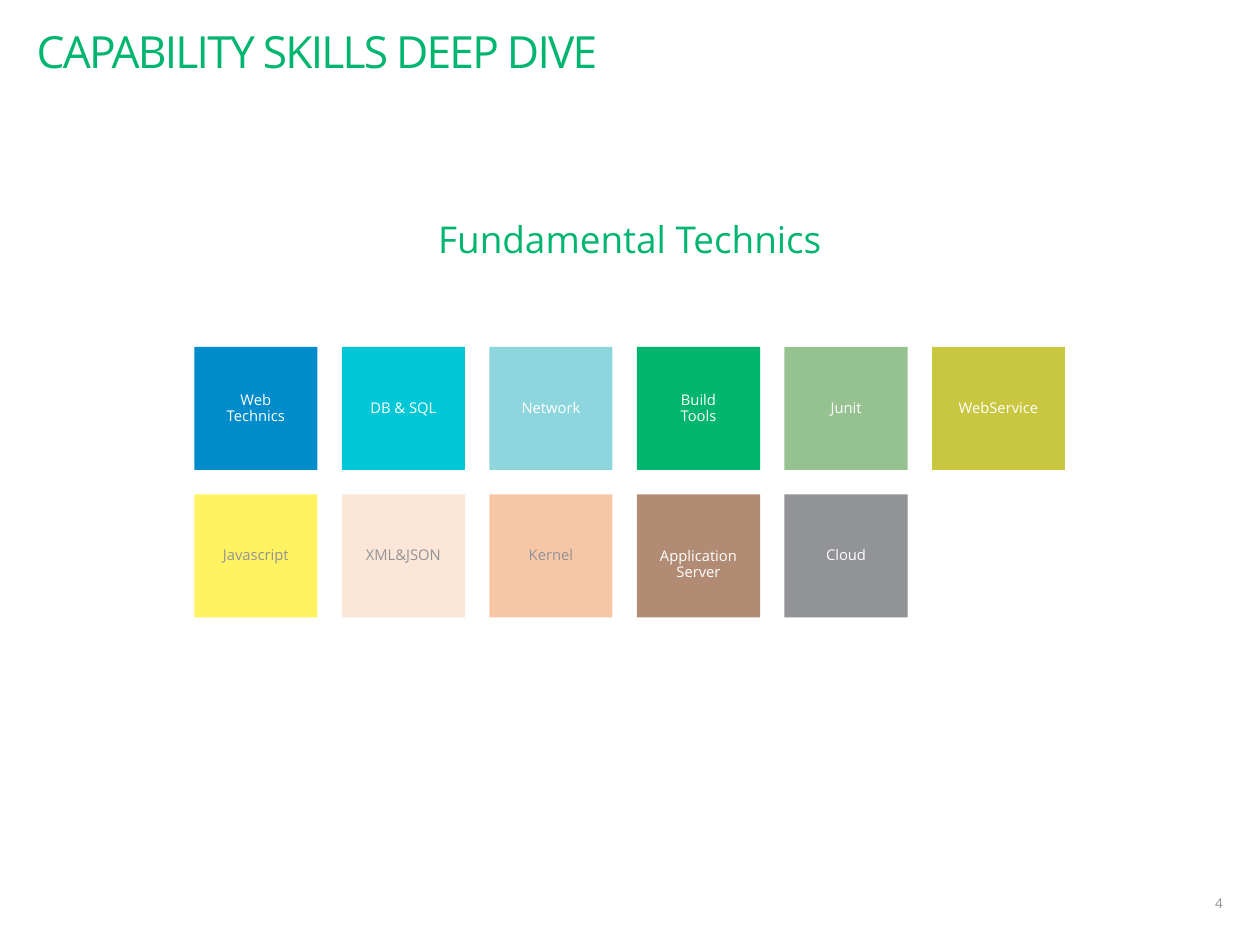
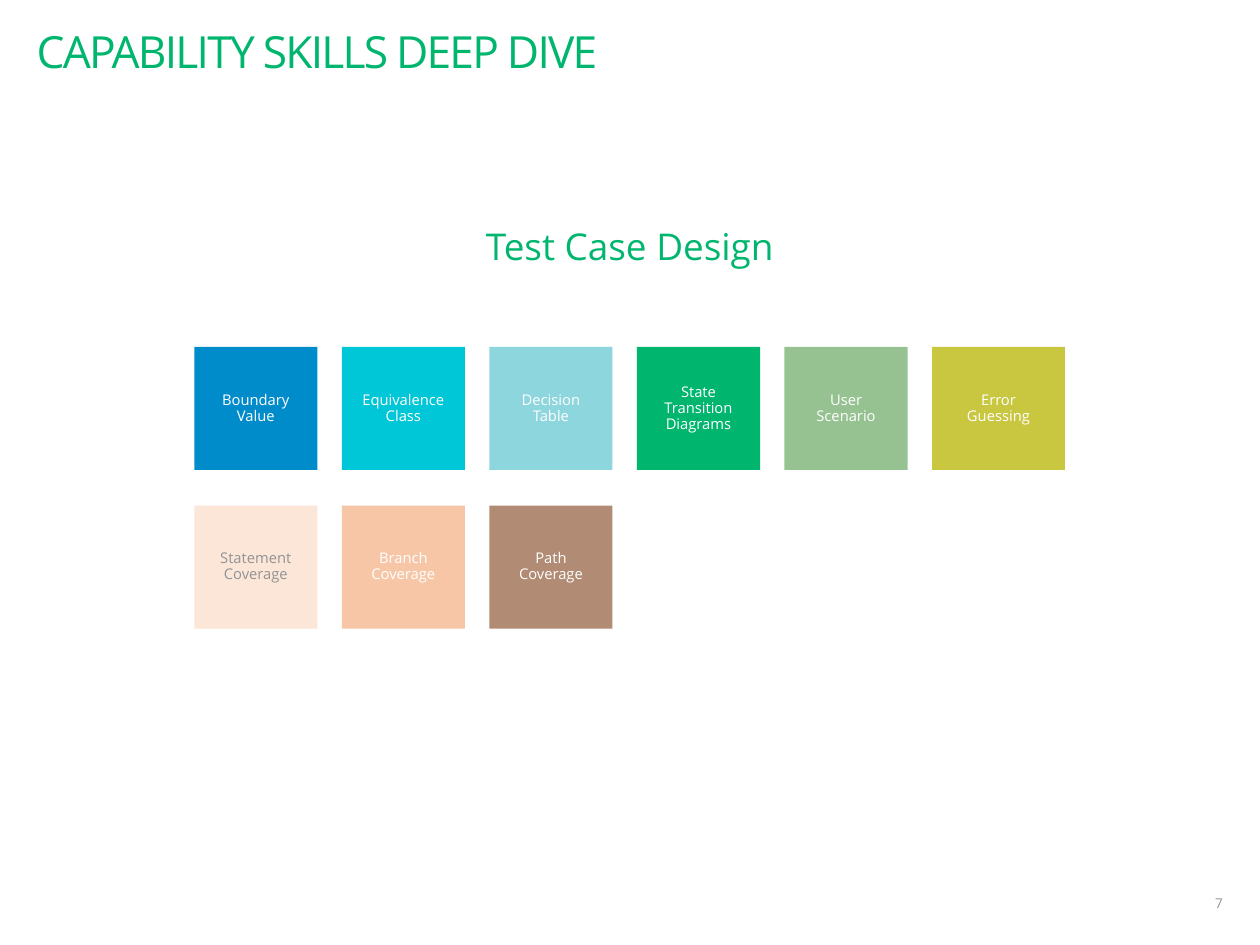
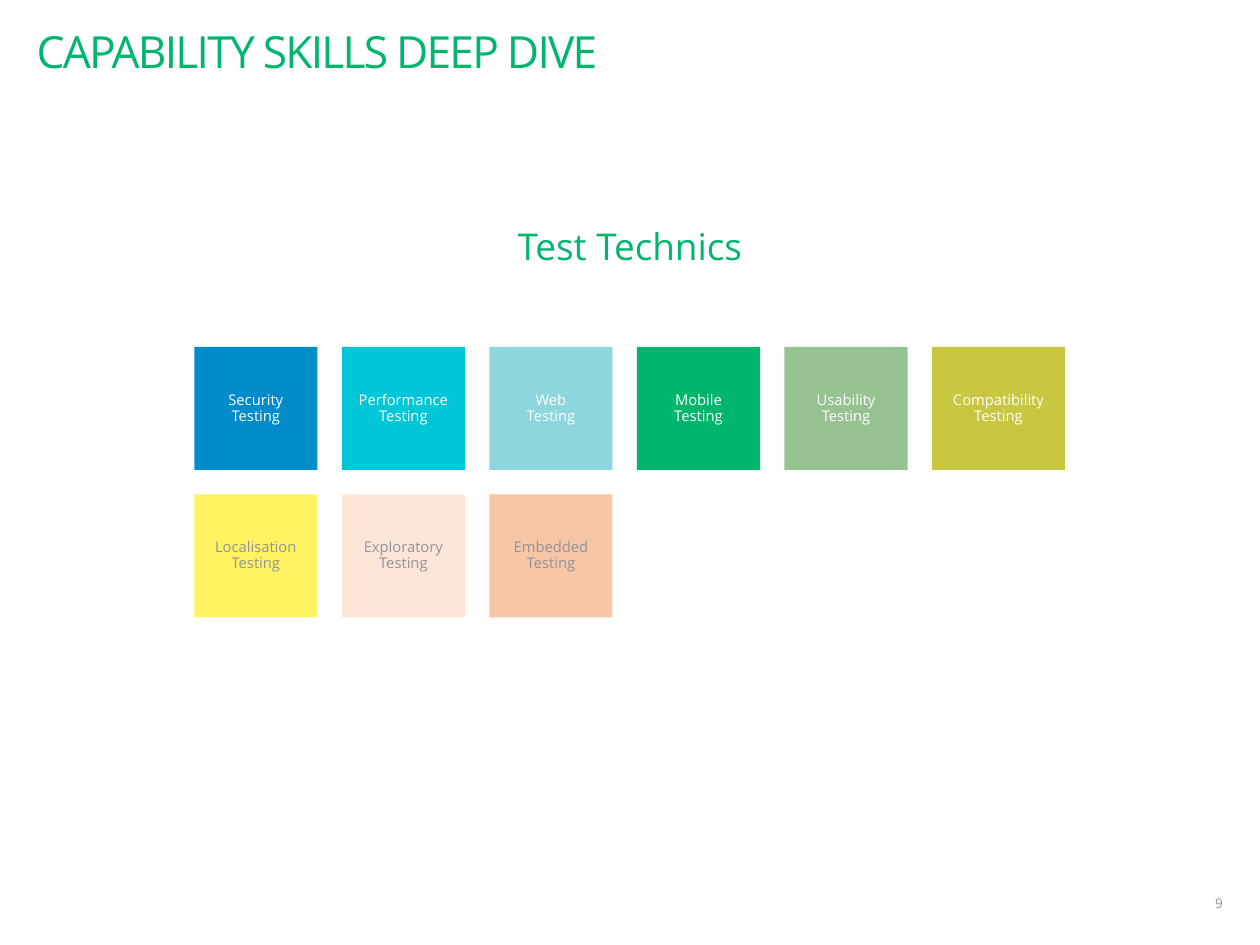
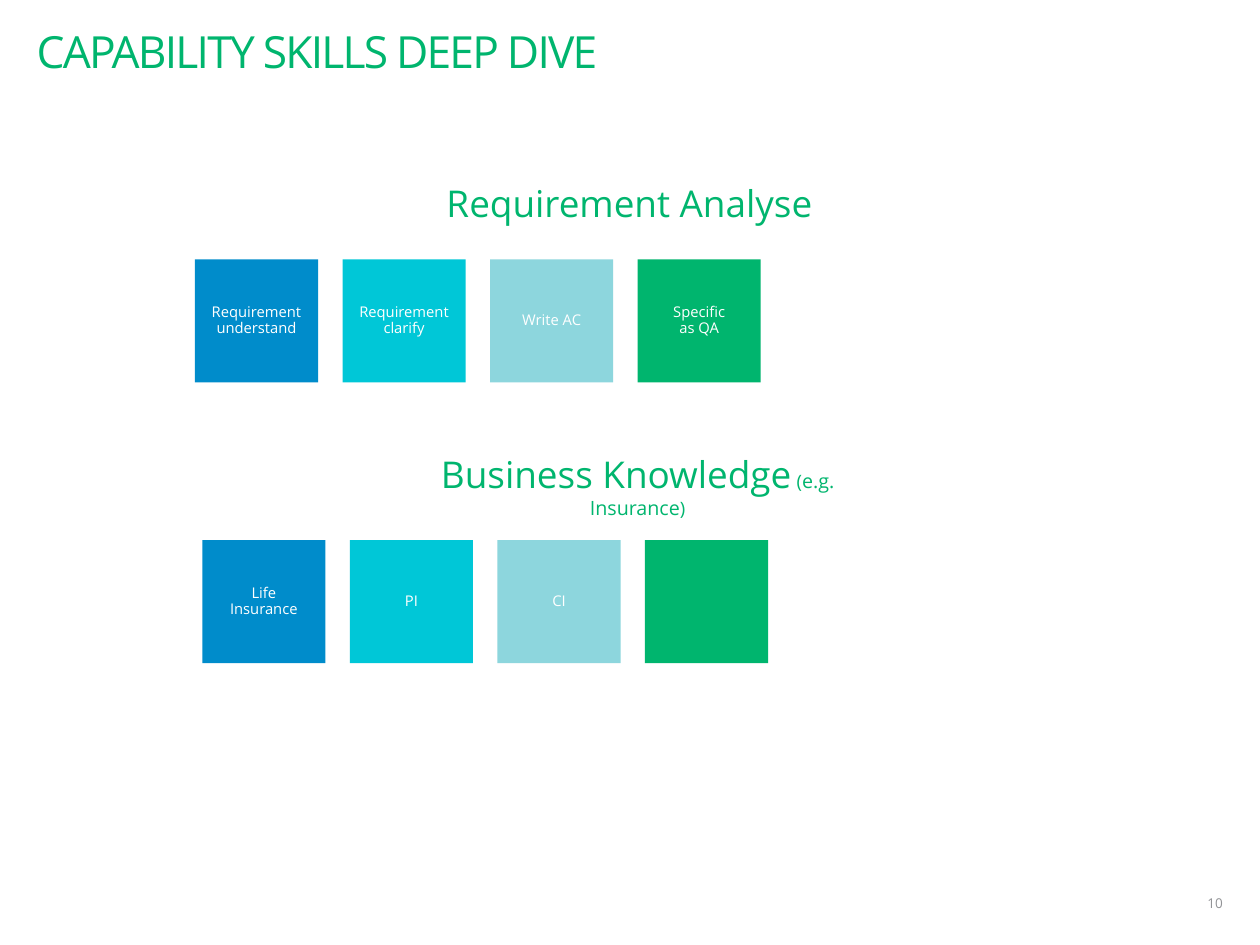
from dataclasses import dataclass

from pptx import Presentation
from pptx.dml.color import RGBColor
from pptx.enum.shapes import MSO_SHAPE
from pptx.enum.text import MSO_ANCHOR, MSO_AUTO_SIZE, PP_ALIGN
from pptx.slide import Slide
from pptx.text.text import TextFrame, _Run
from pptx.util import Cm, Pt

RECTANGLE = MSO_SHAPE.RECTANGLE
MIDDLE = MSO_ANCHOR.MIDDLE
TOP = MSO_ANCHOR.TOP
GROW = MSO_AUTO_SIZE.SHAPE_TO_FIT_TEXT
LEFT, CENTER, RIGHT = PP_ALIGN.LEFT, PP_ALIGN.CENTER, PP_ALIGN.RIGHT

COLORS = {
    "blue": "008CCB", "cyan": "00C7D7", "aqua": "8DD6DD",
    "green": "00B56E", "sage": "96C292", "olive": "C9C640",
    "yellow": "FFF362", "cream": "FCE6D7", "peach": "F6C6A7",
    "brown": "B18B74", "grey": "929396", "white": "FFFFFF",
}
COOL_FILLS = ("blue", "cyan", "aqua", "green", "sage", "olive")
FONT = "Open Sans"
DECK_TITLE = "CAPABILITY SKILLS DEEP DIVE"

TILE_SIZE, TILE_PITCH, TILE_INSET = 3.53, 4.23, 0.46
WIDE_TILES = {"olive": 3.81}
GRID_LEFT, GRID_TOP = 5.57, 9.95
SECOND_ROW_TOP = GRID_TOP + TILE_PITCH

TITLE_FRAME = {"vertical_anchor": MIDDLE, "word_wrap": True}
NUMBER_FRAME = {"vertical_anchor": TOP, "word_wrap": False, "auto_size": GROW}
HEADING_FRAME = {"vertical_anchor": TOP, "word_wrap": True, "auto_size": GROW}
TILE_FRAME = {"vertical_anchor": MIDDLE, "word_wrap": True}


@dataclass(frozen=True)
class Box:
    """A rectangle on the slide, in centimetres."""
    left: float
    top: float
    width: float
    height: float


@dataclass(frozen=True)
class Tile:
    """A coloured square naming one skill; \\n parts paragraphs, \\v lines."""
    label: str
    fill: str
    ink: str = "white"
    extra_inset_top: float = 0


@dataclass(frozen=True)
class TileRow:
    """Tiles set side by side at an equal pitch."""
    tiles: list[Tile]
    top: float = GRID_TOP
    left: float = GRID_LEFT


@dataclass(frozen=True)
class Heading:
    """A skill area, made of pieces of text with their sizes."""
    pieces: list[tuple[str, int]]
    box: Box


@dataclass(frozen=True)
class SkillSlide:
    """The content of one slide."""
    number: int
    headings: list[Heading]
    rows: list[TileRow]


TITLE_BOX = Box(1.05, 0.64, 34.01, 2.01)
NUMBER_BOX = Box(34.32, 25.68, 0.74, 0.81)
TEST_HEADING_BOX = Box(13.08, 6.4, 9.96, 1.73)


def cool_tiles(*labels: str) -> list[Tile]:
    """Give the labels the cool fills, in order."""
    return [Tile(label, fill) for label, fill in zip(labels, COOL_FILLS)]


SLIDES = [
    SkillSlide(
        4,
        [Heading([("Fundamental Technics", 30)], Box(11.61, 6.22, 12.9, 1.73))],
        [
            TileRow(cool_tiles("Web\nTechnics", "DB & SQL", "Network",
                               "Build\nTools", "Junit", "WebService")),
            TileRow([
                Tile("Javascript", "yellow", "grey"),
                Tile("XML&JSON", "cream", "grey"),
                Tile("Kernel", "peach", "grey"),
                Tile("Application\vServer", "brown", extra_inset_top=0.48),
                Tile("Cloud", "grey"),
            ], SECOND_ROW_TOP),
        ],
    ),
    SkillSlide(
        7,
        [Heading([("Test Case Design", 30)], TEST_HEADING_BOX)],
        [
            TileRow(cool_tiles("Boundary\nValue", "Equivalence\nClass",
                               "Decision\nTable", "State Transition\nDiagrams",
                               "User Scenario", "Error Guessing")),
            TileRow([
                Tile("Statement\nCoverage", "cream", "grey"),
                Tile("Branch\nCoverage", "peach"),
                Tile("Path\nCoverage", "brown"),
            ], 14.5),
        ],
    ),
    SkillSlide(
        9,
        [Heading([("Test Technics", 30)], TEST_HEADING_BOX)],
        [
            TileRow(cool_tiles("Security\nTesting", "Performance\nTesting",
                               "Web\nTesting", "Mobile\nTesting",
                               "Usability\nTesting", "Compatibility\nTesting")),
            TileRow([
                Tile("Localisation\nTesting", "yellow", "grey"),
                Tile("Exploratory\nTesting", "cream", "grey"),
                Tile("Embedded\nTesting", "peach", "grey"),
            ], SECOND_ROW_TOP),
        ],
    ),
    SkillSlide(
        10,
        [
            Heading([("Requirement Analyse", 30)], Box(12.22, 5.18, 11.66, 1.73)),
            Heading([("Business Knowledge", 30), (" (", 15),
                     ("e.g. Insurance", 16), (")", 15)],
                    Box(12.45, 12.95, 11.66, 2.51)),
        ],
        [
            TileRow(cool_tiles("Requirement\nunderstand", "Requirement\nclarify",
                               "Write AC", "Specific\nas QA"), 7.44, 5.59),
            TileRow(cool_tiles("Life Insurance", "PI", "CI", ""), 15.49, 5.8),
        ],
    ),
]


def color(name: str) -> RGBColor:
    """Look up a colour by name."""
    return RGBColor.from_string(COLORS[name])


def place(box: Box) -> tuple[Cm, Cm, Cm, Cm]:
    """Turn a box into the lengths a shape is made with."""
    return Cm(box.left), Cm(box.top), Cm(box.width), Cm(box.height)


def format_frame(frame: TextFrame, settings: dict, inset: float = 0) -> None:
    """Apply the frame settings and one inset on all sides."""
    margins = {f"margin_{side}": Cm(inset)
               for side in ("left", "top", "right", "bottom")}
    for attribute, value in {**settings, **margins}.items():
        setattr(frame, attribute, value)


def format_run(run: _Run, size: int, ink: str) -> None:
    """Set the font, size and colour of a run."""
    for attribute, value in {"name": FONT, "size": Pt(size)}.items():
        setattr(run.font, attribute, value)
    run.font.color.rgb = color(ink)


def write(frame: TextFrame, text: str, size: int, ink: str,
          align: PP_ALIGN, line_spacing: float = 1.0) -> None:
    """Fill a frame with text of one style."""
    frame.text = text
    for paragraph in frame.paragraphs:
        paragraph.alignment = align
        paragraph.line_spacing = line_spacing
        for run in paragraph.runs:
            format_run(run, size, ink)


def draw_title(slide: Slide) -> None:
    """Draw the title that all slides share."""
    frame = slide.shapes.add_textbox(*place(TITLE_BOX)).text_frame
    format_frame(frame, TITLE_FRAME)
    write(frame, DECK_TITLE, 36, "green", LEFT, 0.7)
    frame.paragraphs[0].runs[0].font._element.set("spc", "-144")


def draw_number(slide: Slide, number: int) -> None:
    """Draw the slide number in the lower right corner."""
    frame = slide.shapes.add_textbox(*place(NUMBER_BOX)).text_frame
    format_frame(frame, NUMBER_FRAME)
    write(frame, str(number), 11, "grey", RIGHT)


def draw_heading(slide: Slide, heading: Heading) -> None:
    """Draw the name of a skill area."""
    frame = slide.shapes.add_textbox(*place(heading.box)).text_frame
    format_frame(frame, HEADING_FRAME)
    paragraph = frame.paragraphs[0]
    paragraph.alignment = CENTER
    for text, size in heading.pieces:
        run = paragraph.add_run()
        run.text = text
        format_run(run, size, "green")


def draw_tile(slide: Slide, tile: Tile, left: float, top: float) -> None:
    """Draw one skill tile."""
    box = Box(left, top, WIDE_TILES.get(tile.fill, TILE_SIZE), TILE_SIZE)
    square = slide.shapes.add_shape(RECTANGLE, *place(box))
    square.shadow.inherit = False
    square.fill.solid()
    square.fill.fore_color.rgb = color(tile.fill)
    square.line.fill.background()
    frame = square.text_frame
    format_frame(frame, TILE_FRAME, TILE_INSET)
    frame.margin_top = Cm(TILE_INSET + tile.extra_inset_top)
    write(frame, tile.label, 12, tile.ink, CENTER, 0.9)


def draw_row(slide: Slide, row: TileRow) -> None:
    """Draw a row of tiles from left to right."""
    for column, tile in enumerate(row.tiles):
        draw_tile(slide, tile, row.left + column * TILE_PITCH, row.top)


def main() -> None:
    """Build the deck and save it."""
    deck = Presentation()
    deck.slide_width, deck.slide_height = Cm(36.12), Cm(27.1)
    blank = deck.slide_layouts[6]
    for content in SLIDES:
        slide = deck.slides.add_slide(blank)
        draw_title(slide)
        draw_number(slide, content.number)
        for row in content.rows:
            draw_row(slide, row)
        for heading in content.headings:
            draw_heading(slide, heading)
    deck.save("out.pptx")


main()
